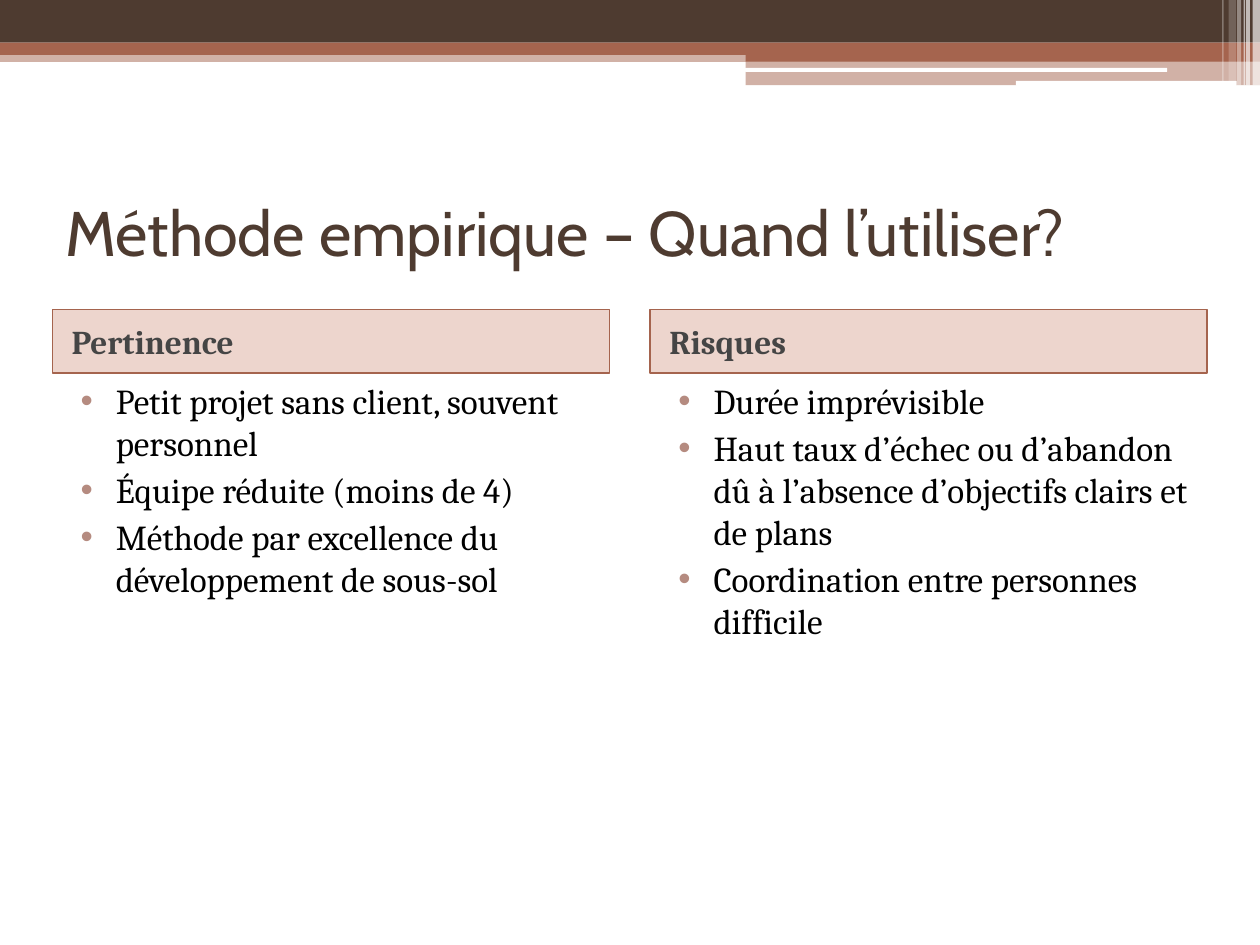
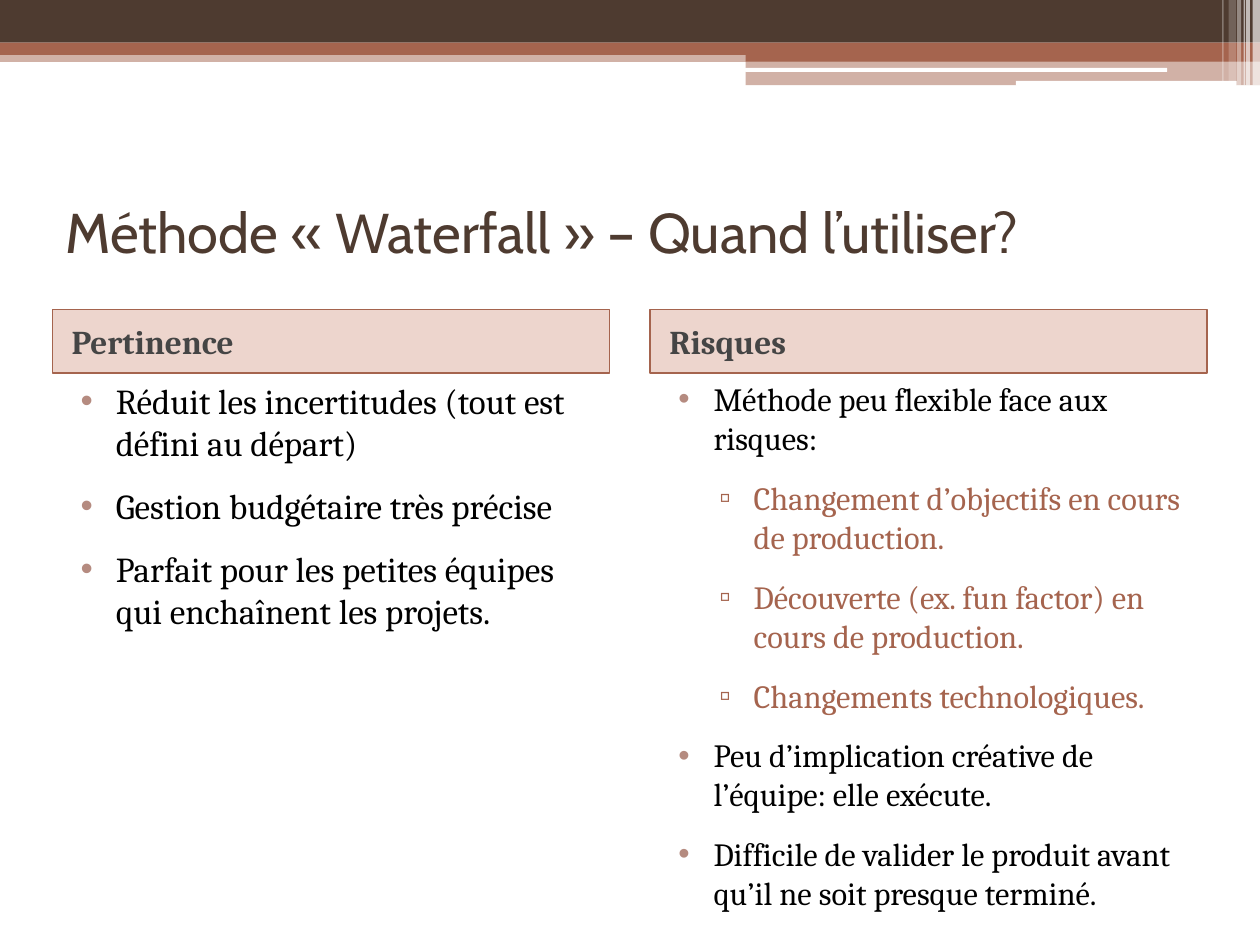
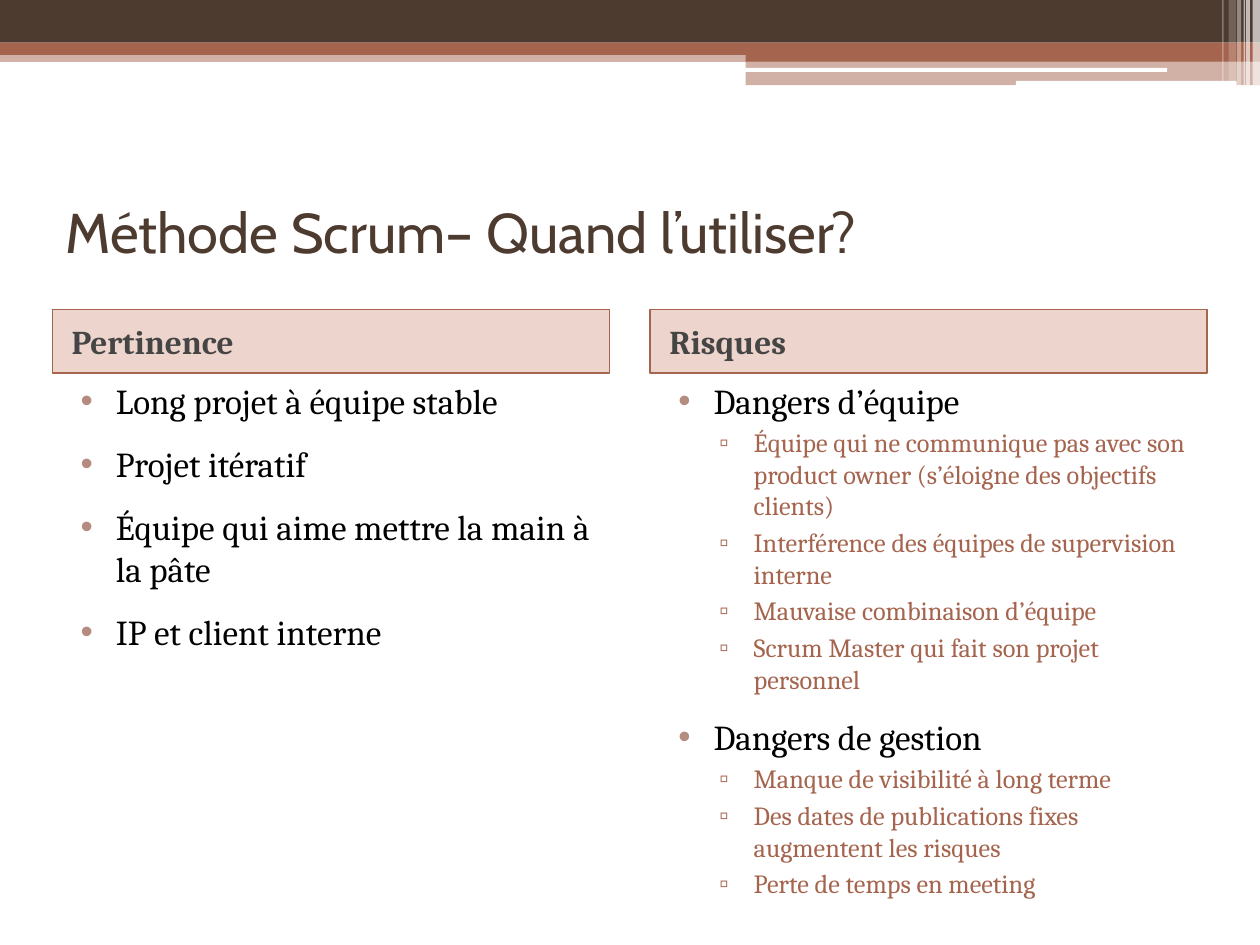
"""Build three slides that weigh when to use each project method."""
from lxml import etree
from pptx import Presentation
from pptx.dml.color import RGBColor
from pptx.enum.shapes import MSO_SHAPE
from pptx.enum.text import MSO_ANCHOR, MSO_AUTO_SIZE, PP_ALIGN
from pptx.oxml.ns import qn
from pptx.util import Cm, Pt

RECT, ROUND = MSO_SHAPE.RECTANGLE, MSO_SHAPE.ROUNDED_RECTANGLE
MIDDLE, TOP = MSO_ANCHOR.MIDDLE, MSO_ANCHOR.TOP
LEFT, NO_FIT = PP_ALIGN.LEFT, MSO_AUTO_SIZE.NONE

BROWN = RGBColor(0x4E, 0x3B, 0x30)
RUST = RGBColor(0xA5, 0x64, 0x4E)
ORANGE = RGBColor(0xBB, 0x59, 0x38)
ROSE = RGBColor(0xB5, 0x8B, 0x80)
GREY = RGBColor(0x45, 0x45, 0x45)
BLACK = RGBColor(0, 0, 0)
WHITE = RGBColor(0xFF, 0xFF, 0xFF)
TITLE_FONT, BODY_FONT = "Cabin", "Cambria"

BANDS = [
    (RECT, 0, 1.02, 25.4, 0.23, RUST, 50),
    (RECT, 0, 0, 25.4, 0.86, BROWN, 100),
    (RECT, 0, 0.86, 25.4, 0.25, RUST, 100),
    (RECT, 15.03, 0.99, 10.37, 0.25, RUST, 100),
    (RECT, 15.03, 1.23, 10.37, 0.49, RUST, 50),
    (ROUND, 15.02, 1.37, 8.51, 0.08, WHITE, 100),
    (ROUND, 20.48, 1.63, 4.45, 0.1, WHITE, 100),
    (RECT, 25.25, 0, 0.15, 1.73, WHITE, 65),
    (RECT, 25.12, 0, 0.08, 1.73, WHITE, 65),
    (RECT, 25.07, 0, 0.03, 1.73, WHITE, 60),
    (RECT, 24.94, 0, 0.08, 1.73, WHITE, 40),
    (RECT, 24.77, 0, 0.15, 1.63, WHITE, 20),
    (RECT, 24.64, 0, 0.03, 1.63, WHITE, 30),
]
LEVELS = [("•", ROSE, BLACK, 1.02, -0.71), ("▫", RUST, RUST, 1.83, -0.69)]
HEADINGS = ["Pertinence", "Risques"]
COLUMN_X, COLUMN_W = [1.06, 13.11], 11.23

SLIDES = [
    ("Méthode empirique – Quand l’utiliser?", 36, (3, 3), [
        ((20, 20), [
            (0, "Petit projet sans client, souvent personnel"),
            (0, "Équipe réduite (moins de 4)"),
            (0, "Méthode par excellence du développement de sous-sol"),
        ]),
        ((20, 20), [
            (0, "Durée imprévisible"),
            (0, "Haut taux d’échec ou d’abandon dû à l’absence d’objectifs clairs et de plans"),
            (0, "Coordination entre personnes difficile"),
        ]),
    ]),
    ("Méthode « Waterfall » – Quand l’utiliser?", 32, (12, 12), [
        ((20, 20), [
            (0, "Réduit les incertitudes (tout est défini au départ)"),
            (0, "Gestion budgétaire très précise"),
            (0, "Parfait pour les petites équipes qui enchaînent les projets."),
        ]),
        ((18.5, 18.5), [
            (0, "Méthode peu flexible face aux risques:"),
            (1, "Changement d’objectifs en cours de production."),
            (1, "Découverte (ex. fun factor) en cours de production."),
            (1, "Changements technologiques."),
            (0, "Peu d’implication créative de l’équipe: elle exécute."),
            (0, "Difficile de valider le produit avant qu’il ne soit presque terminé."),
        ]),
    ]),
    ("Méthode Scrum– Quand l’utiliser?", 32, (12, 3), [
        ((20, 15), [
            (0, "Long projet à équipe stable"),
            (0, "Projet itératif"),
            (0, "Équipe qui aime mettre la main à la pâte"),
            (0, "IP et client interne"),
        ]),
        ((20, 15), [
            (0, "Dangers d’équipe"),
            (1, "Équipe qui ne communique pas avec son product owner (s’éloigne des objectifs clients)"),
            (1, "Interférence des équipes de supervision interne"),
            (1, "Mauvaise combinaison d’équipe"),
            (1, "Scrum Master qui fait son projet personnel"),
            (0, "Dangers de gestion"),
            (1, "Manque de visibilité à long terme"),
            (1, "Des dates de publications fixes augmentent les risques"),
            (1, "Perte de temps en meeting"),
        ]),
    ]),
]


def fill_shape(sp, color, opacity):
    """Give a shape a solid fill with an opacity in percent."""
    sp.fill.solid()
    sp.fill.fore_color.rgb = color
    if opacity < 100:
        clr = sp.element.spPr.find(qn("a:solidFill"))[0]
        etree.SubElement(clr, qn("a:alpha"), val=str(opacity * 1000))


def place(sp, x, y, w, h, anchor):
    """Move a placeholder, fix its text size and return its text frame."""
    sp.left, sp.top, sp.width, sp.height = Cm(x), Cm(y), Cm(w), Cm(h)
    tf = sp.text_frame
    tf.word_wrap = True
    tf.auto_size = NO_FIT
    tf.vertical_anchor = anchor
    return tf


prs = Presentation()
prs.slide_width, prs.slide_height = Cm(25.4), Cm(19.05)
layout = prs.slide_layouts.get_by_name("Comparison")

for n, (title, title_size, spaces, columns) in enumerate(SLIDES):
    s = prs.slides.add_slide(layout)

    if n == 0:
        for i, (kind, x, y, w, h, color, opacity) in enumerate(BANDS):
            sp = s.shapes.add_shape(kind, Cm(x), Cm(y), Cm(w), Cm(h))
            sp.shadow.inherit = False
            sp.line.fill.background()
            fill_shape(sp, color, opacity)
            sp.element.nvSpPr.cNvPr.set("id", str(100 + i))
            layout.shapes.element.insert(2 + i, sp.element)

    tf = place(s.shapes.title, 1.06, 3.18, 23.28, 2.97, MIDDLE)
    p = tf.paragraphs[0]
    p.text = title
    p.alignment = LEFT
    p.font.name, p.font.size = TITLE_FONT, Pt(title_size)
    p.font.color.rgb = BROWN

    for c, (sizes, items) in enumerate(columns):
        sp = s.placeholders[1 + 2 * c]
        tf = place(sp, COLUMN_X[c], 6.24, COLUMN_W, 1.28, MIDDLE)
        fill_shape(sp, ORANGE, 25)
        sp.line.color.rgb = RUST
        sp.line.width = Pt(1)
        p = tf.paragraphs[0]
        p.text = HEADINGS[c]
        p.space_before = Pt(3)
        p.font.name, p.font.size, p.font.bold = BODY_FONT, Pt(19), True
        p.font.color.rgb = GREY
        p._p.get_or_add_pPr().set("marL", str(Cm(0.13)))

        tf = place(s.placeholders[2 + 2 * c], COLUMN_X[c], 7.52, COLUMN_W, 10.8, TOP)
        for i, (level, text) in enumerate(items):
            bullet, bullet_color, color, margin, indent = LEVELS[level]
            p = tf.add_paragraph() if i else tf.paragraphs[0]
            p.text = text
            p.level = level
            p.space_before = Pt(spaces[level])
            p.font.name, p.font.size = BODY_FONT, Pt(sizes[level])
            p.font.color.rgb = color
            pPr = p._p.get_or_add_pPr()
            pPr.set("marL", str(Cm(margin)))
            pPr.set("indent", str(Cm(indent)))
            clr = etree.Element(qn("a:buClr"))
            etree.SubElement(clr, qn("a:srgbClr"), val=str(bullet_color))
            char = etree.Element(qn("a:buChar"), char=bullet)
            at = pPr.index(pPr.find(qn("a:spcBef"))) + 1
            pPr[at:at] = [clr, char]

prs.save("out.pptx")
